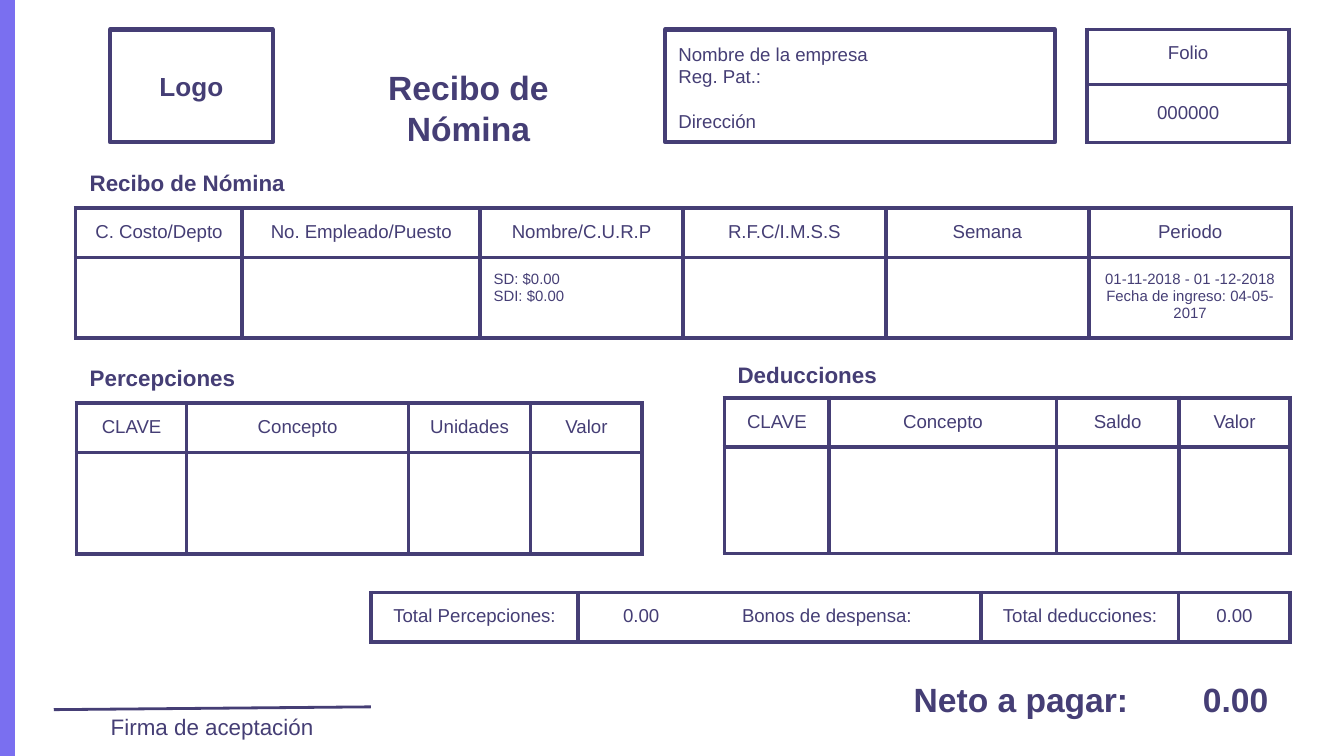
from lxml import etree
from pptx import Presentation
from pptx.dml.color import RGBColor
from pptx.enum.shapes import MSO_CONNECTOR, MSO_SHAPE
from pptx.enum.text import MSO_ANCHOR, PP_ALIGN
from pptx.oxml.ns import qn
from pptx.util import Pt

LEFT, CENTER = PP_ALIGN.LEFT, PP_ALIGN.CENTER
TOP, MIDDLE = MSO_ANCHOR.TOP, MSO_ANCHOR.MIDDLE
RECT, STRAIGHT = MSO_SHAPE.RECTANGLE, MSO_CONNECTOR.STRAIGHT
INK, BAR = "453E75", "7A6FF0"
INSET = Pt(7.2)


def paint(target, color):
    if hasattr(target, "solid"):
        target.solid()
        target.fore_color.rgb = RGBColor.from_string(color)
    else:
        target.rgb = RGBColor.from_string(color)


def write(tf, text, size=10, bold=False, align=LEFT, gaps=(), tabs=()):
    for i, line in enumerate(text.split("\n")):
        p = tf.paragraphs[0] if i == 0 else tf.add_paragraph()
        p.alignment = align
        if i < len(gaps):
            p.space_before = Pt(gaps[i])
        if tabs:
            tab_list = etree.SubElement(p._p.get_or_add_pPr(), qn("a:tabLst"))
            for pos in tabs:
                etree.SubElement(tab_list, qn("a:tab"), pos=str(Pt(pos)), algn="l")
        r = p.add_run()
        r.text = line
        r.font.name, r.font.size, r.font.bold = "Arial", Pt(size), bold
        paint(r.font.color, INK)


prs = Presentation()
prs.slide_width, prs.slide_height = Pt(720), Pt(405)
s = prs.slides.add_slide(prs.slide_layouts[6])

bar = s.shapes.add_shape(RECT, 0, 0, Pt(8), Pt(405))
bar.shadow.inherit = False
paint(bar.fill, BAR)
bar.line.fill.background()

boxes = [
    (356.4, 208.8, TOP, "Nombre de la empresa\nReg. Pat.:\nDirección", dict(gaps=(0, 0, 12))),
    (59, 87.1, MIDDLE, "Logo", dict(size=14, bold=True, align=CENTER)),
]
for x, w, anchor, text, style in boxes:
    sp = s.shapes.add_shape(RECT, Pt(x), Pt(15.8), Pt(w), Pt(60.5))
    sp.shadow.inherit = False
    sp.fill.background()
    paint(sp.line.fill, INK)
    sp.line.width = Pt(2.25)
    tf = sp.text_frame
    tf.word_wrap = True
    tf.vertical_anchor = anchor
    tf.margin_left = tf.margin_right = tf.margin_top = tf.margin_bottom = INSET
    write(tf, text, **style)

heading = dict(size=12, bold=True)
labels = [
    (168, 28.8, 166, 34.6, TOP, "Recibo de Nómina", dict(size=18, bold=True, align=CENTER)),
    (41, 83.5, 208.8, 20.9, TOP, "Recibo de Nómina", heading),
    (41, 187.9, 208.8, 20.9, TOP, "Percepciones", heading),
    (388.1, 186.5, 208.8, 20.9, TOP, "Deducciones", heading),
    (482.4, 356.4, 208.8, 42.5, TOP, "Neto a pagar:\t0.00", dict(size=18, bold=True, tabs=(155,))),
    (44.6, 378.7, 138.2, 20.9, MIDDLE, "Firma de aceptación", dict(size=12, align=CENTER)),
]
for x, y, w, h, anchor, text, style in labels:
    tf = s.shapes.add_textbox(Pt(x), Pt(y), Pt(w), Pt(h)).text_frame
    tf.word_wrap = True
    tf.vertical_anchor = anchor
    tf.margin_left = tf.margin_right = tf.margin_top = tf.margin_bottom = INSET
    write(tf, text, **style)

tables = [
    (582.5, 15.8, [108], [29.5, 31], [["Folio"], ["000000"]]),
    (40.5, 111.5, [89.3, 127.4] + [108.7] * 4, [25.5, 41.8], [
        ["C. Costo/Depto", "No. Empleado/Puesto", "Nombre/C.U.R.P", "R.F.C/I.M.S.S", "Semana", "Periodo"],
        ["", "", "SD: $0.00\nSDI: $0.00", "", "",
         "01-11-2018 - 01 -12-2018\nFecha de ingreso: 04-05-2017"]]),
    (41, 216, [59, 118.8, 65.5, 59.8], [25.5, 54.2],
     [["CLAVE", "Concepto", "Unidades", "Valor"], [""] * 4]),
    (388.1, 213.1, [56.2, 121.7, 65.5, 59.8], [25.5, 56.9],
     [["CLAVE", "Concepto", "Saldo", "Valor"], [""] * 4]),
    (198.7, 317.5, [110.9, 216, 105.8, 59.8], [25.5],
     [["Total Percepciones:", "\t0.00\tBonos de despensa:", "Total deducciones:", "0.00"]]),
]
for x, y, cols, rows, data in tables:
    frame = s.shapes.add_table(len(rows), len(cols), Pt(x), Pt(y), Pt(sum(cols)), Pt(sum(rows)))
    tbl = frame.table
    tbl.first_row = tbl.horz_banding = False
    for i, w in enumerate(cols):
        tbl.columns[i].width = Pt(w)
    for i, h in enumerate(rows):
        tbl.rows[i].height = Pt(h)
        for j, text in enumerate(data[i]):
            cell = tbl.cell(i, j)
            cell.margin_left = cell.margin_right = cell.margin_top = cell.margin_bottom = INSET
            cell.vertical_anchor = MIDDLE if text == "000000" else TOP
            cell.fill.background()
            tc_pr = cell._tc.get_or_add_tcPr()
            for k, side in enumerate(("lnL", "lnR", "lnT", "lnB")):
                ln = etree.Element(qn("a:" + side), w=str(Pt(2.25)))
                fill = etree.SubElement(ln, qn("a:solidFill"))
                etree.SubElement(fill, qn("a:srgbClr"), val=INK)
                tc_pr.insert(k, ln)
            if text:
                left = "\t" in text or text.startswith("SD")
                write(cell.text_frame, text, size=8 if "\n" in text else 10,
                      align=LEFT if left else CENTER,
                      tabs=(17, 80.7) if "\t" in text else ())

line = s.shapes.add_connector(STRAIGHT, Pt(28.8), Pt(380.2), Pt(198.7), Pt(378.7))
paint(line.line.fill, INK)
line.line.width = Pt(1.5)
etree.SubElement(line._element.spPr, qn("a:effectLst"))

prs.save("out.pptx")
